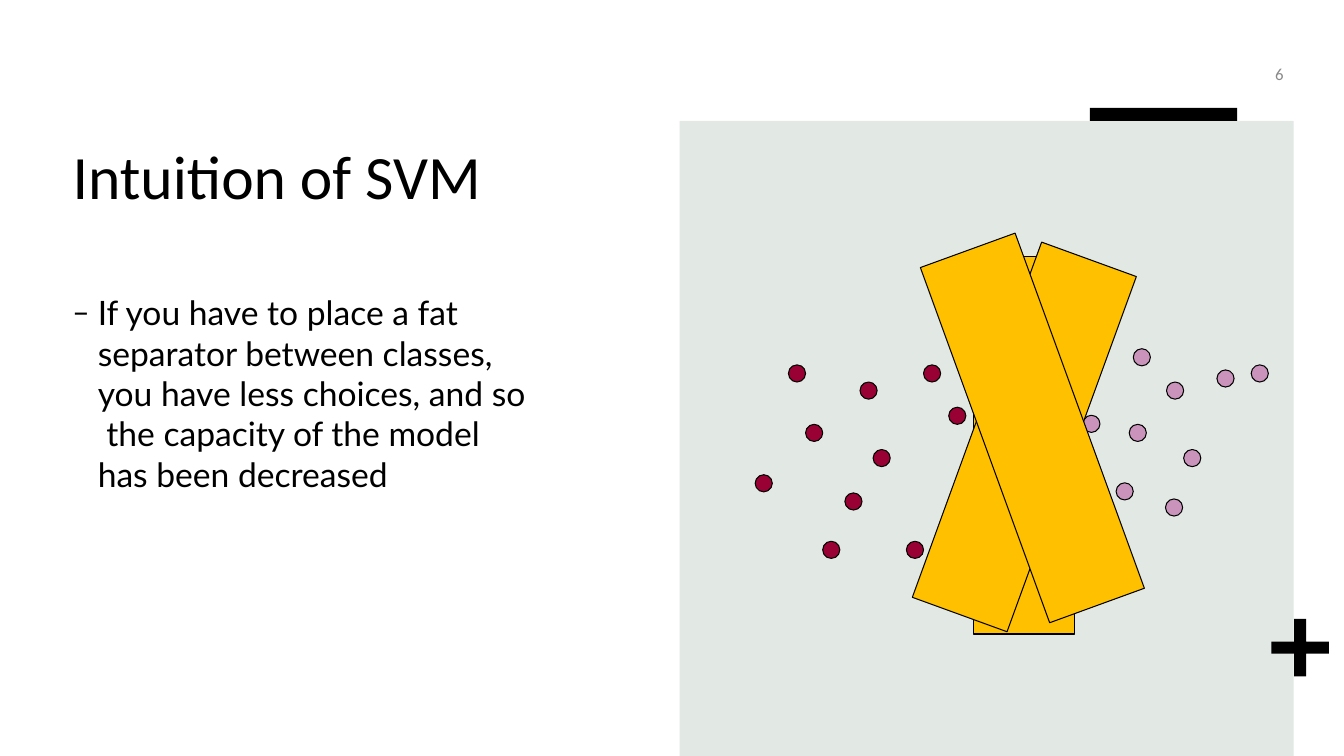
from lxml.etree import SubElement
from pptx import Presentation
from pptx.dml.color import RGBColor
from pptx.enum.shapes import MSO_SHAPE
from pptx.enum.text import MSO_ANCHOR, MSO_AUTO_SIZE, PP_ALIGN
from pptx.oxml.ns import qn
from pptx.util import Inches, Pt

BLACK, GREY, PANEL = "000000", "898989", "E2E8E4"
RED, PINK, GOLD = "990033", "CA93BB", "FFC000"
DOT_SIZE = 0.17
BAR_WIDTH, BAR_HEIGHT = 1, 3.75

# Positions inside the panel: left, top
RED_DOTS = [(1.08, 2.42), (1.25, 3.01), (1.42, 4.17), (2.42, 2.42),
            (0.75, 3.51), (1.92, 3.26), (2.67, 2.84), (2.25, 4.17),
            (1.79, 2.59), (1.64, 3.69)]
PINK_DOTS = [(4, 2.92), (4.33, 3.59), (4.5, 2.26), (5.67, 2.42),
             (4.83, 2.59), (4.46, 3.01), (5, 3.26), (5.33, 2.47),
             (4.82, 3.75)]
# Left, top, rotation
SEPARATORS = [(2.92, 1.34, 0), (2.92, 1.26, 20), (3, 1.17, 340)]


def color(code):
    return RGBColor.from_string(code)


def add_figure(page, kind, box, fill, outlined=False):
    figure = page.shapes.add_shape(kind, *map(Inches, box))
    figure.shadow.inherit = False
    figure.fill.solid()
    figure.fill.fore_color.rgb = color(fill)
    if outlined:
        figure.line.color.rgb = color(BLACK)
        figure.line.width = Pt(0.75)
    else:
        figure.line.fill.background()
    return figure


def write_text(holder, box, text, font, size, code, align=PP_ALIGN.LEFT,
               anchor=MSO_ANCHOR.TOP):
    holder.left, holder.top, holder.width, holder.height = map(Inches, box)
    frame = holder.text_frame
    frame.text = text
    frame.word_wrap = True
    frame.auto_size = MSO_AUTO_SIZE.NONE
    frame.vertical_anchor = anchor
    para = frame.paragraphs[0]
    para.alignment = align
    for span in para.runs:
        span.font.name = font
        span.font.size = Pt(size)
        span.font.color.rgb = color(code)
    return para


def add_backdrop(page, box):
    left, top, width, height = box
    add_figure(page, MSO_SHAPE.RECTANGLE, box, PANEL)
    plus = add_figure(page, MSO_SHAPE.CROSS,
                      (left + 5.87, top + 4.94, 0.57, 0.57), BLACK)
    plus.adjustments[0] = 0.395
    add_figure(page, MSO_SHAPE.RECTANGLE,
               (left + 4.07, top - 0.13, 1.46, 0.13), BLACK)


def add_page_number(page, box):
    number = page.shapes.add_textbox(*map(Inches, box))
    write_text(number, box, "6", "Calibri", 12, GREY, PP_ALIGN.RIGHT,
               MSO_ANCHOR.MIDDLE)


def add_title(page, box):
    title = page.shapes.title
    title.element.getparent().append(title.element)  # in front of the panel
    write_text(title, box, "Intuition of SVM", "Calibri", 44, BLACK)


def add_body(page, box):
    para = write_text(
        page.placeholders[1], box,
        "If you have to place a fat separator between classes, you have less "
        "choices, and so  the capacity of the model has been decreased",
        "Lato", 24, BLACK)
    para.space_before = Pt(10)
    para.line_spacing = 1.0
    # Dash bullet with a hanging indent
    settings = para._p.get_or_add_pPr()
    settings.set("marL", str(Inches(0.25)))
    settings.set("indent", str(-Inches(0.25)))
    SubElement(settings, qn("a:buFont"), typeface="Calibri")
    SubElement(settings, qn("a:buChar"), char="–")


def add_diagram(page, box):
    left, top = box[:2]
    # The separators lie over any class point they touch
    for bar_left, bar_top, rotation in SEPARATORS:
        bar = add_figure(page, MSO_SHAPE.RECTANGLE,
                         (left + bar_left, top + bar_top, BAR_WIDTH, BAR_HEIGHT),
                         GOLD, True)
        bar.rotation = rotation
    first_bar = next(shape for shape in page.shapes
                     if shape.height == Inches(BAR_HEIGHT))
    for dots, fill in ((RED_DOTS, RED), (PINK_DOTS, PINK)):
        for dot_left, dot_top in dots:
            dot = add_figure(page, MSO_SHAPE.OVAL,
                             (left + dot_left, top + dot_top, DOT_SIZE, DOT_SIZE),
                             fill, True)
            first_bar.element.addprevious(dot.element)


def main():
    deck = Presentation()
    deck.slide_width, deck.slide_height = Inches(13.33), Inches(7.5)
    page = deck.slides.add_slide(deck.slide_layouts[1])
    panel = (6.74, 1.2, 6.09, 6.3)
    add_backdrop(page, panel)
    add_page_number(page, (11.83, 0.56, 1, 0.34))
    add_title(page, (0.62, 1.32, 9.04, 1.58))
    add_body(page, (0.62, 2.85, 4.72, 3.45))
    add_diagram(page, panel)
    deck.save("out.pptx")


if __name__ == "__main__":
    main()
